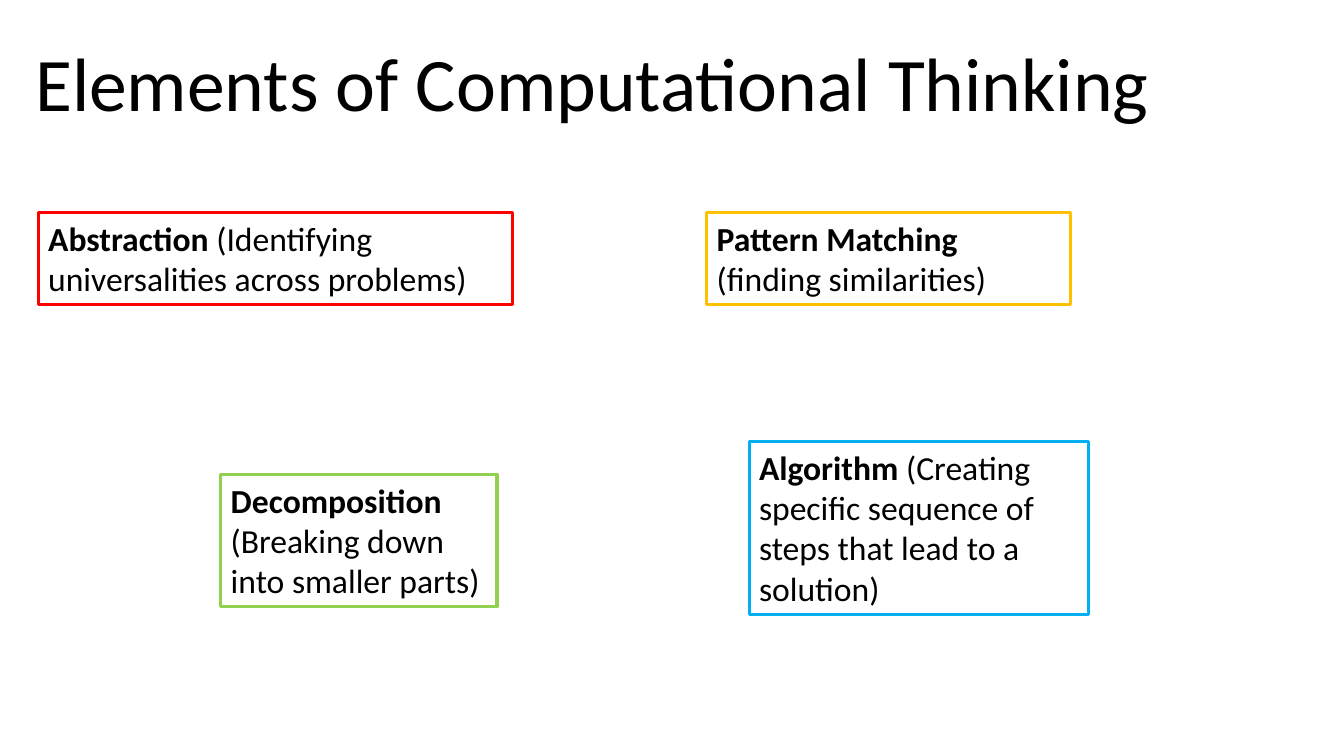
"""Build the slide on the elements of computational thinking."""
from dataclasses import dataclass

from pptx import Presentation
from pptx.dml.color import RGBColor
from pptx.enum.text import MSO_ANCHOR, MSO_AUTO_SIZE
from pptx.util import Inches, Pt

TOP = MSO_ANCHOR.TOP
GROW = MSO_AUTO_SIZE.SHAPE_TO_FIT_TEXT


@dataclass(frozen=True)
class Theme:
    """Colours, font and sizes of the slide."""
    font: str = "Calibri"
    text: str = "000000"
    red: str = "FF0000"
    green: str = "92D050"
    blue: str = "00B0F0"
    amber: str = "FFC000"
    title_size: float = 54
    body_size: float = 24
    border: float = 2.25


THEME = Theme()
TITLE_BOX = (0.25, 0.31, 12.19, 1.01)
ELEMENTS = [
    ((0.38, 2.11, 4.7, 0.91), THEME.red,
     "Abstraction", " (Identifying universalities across problems)"),
    ((2.19, 4.71, 2.74, 1.31), THEME.green,
     "Decomposition", " (Breaking down into smaller parts)"),
    ((7.43, 4.38, 3.37, 1.72), THEME.blue,
     "Algorithm", " (Creating specific sequence of steps that lead to a solution)"),
    ((7.01, 2.11, 3.61, 0.91), THEME.amber,
     "Pattern Matching ", "(finding similarities)"),
]


def add_text(slide, box, runs, size):
    """Add a wrapping text box of (text, bold) runs and return it."""
    sp = slide.shapes.add_textbox(*map(Inches, box))
    tf = sp.text_frame
    frame_format = {"word_wrap": True, "auto_size": GROW, "vertical_anchor": TOP}
    for name, value in frame_format.items():
        setattr(tf, name, value)
    p = tf.paragraphs[0]
    for text, bold in runs:
        r = p.add_run()
        r.text = text
        font_format = {"name": THEME.font, "size": Pt(size), "bold": bold}
        for name, value in font_format.items():
            setattr(r.font, name, value)
        r.font.color.rgb = RGBColor.from_string(THEME.text)
    return sp


def add_title(slide, box, title):
    """Add the slide title."""
    add_text(slide, box, [(title, False)], THEME.title_size)


def add_element(slide, box, color, term, meaning):
    """Add an outlined box with a bold term and its meaning."""
    sp = add_text(slide, box, [(term, True), (meaning, False)], THEME.body_size)
    sp.line.color.rgb = RGBColor.from_string(color)
    sp.line.width = Pt(THEME.border)


def main():
    """Build and save the presentation."""
    prs = Presentation()
    prs.slide_width, prs.slide_height = Inches(13.33), Inches(7.5)
    slide = prs.slides.add_slide(prs.slide_layouts[6])
    add_title(slide, TITLE_BOX, "Elements of Computational Thinking")
    for element in ELEMENTS:
        add_element(slide, *element)
    prs.save("out.pptx")


if __name__ == "__main__":
    main()
